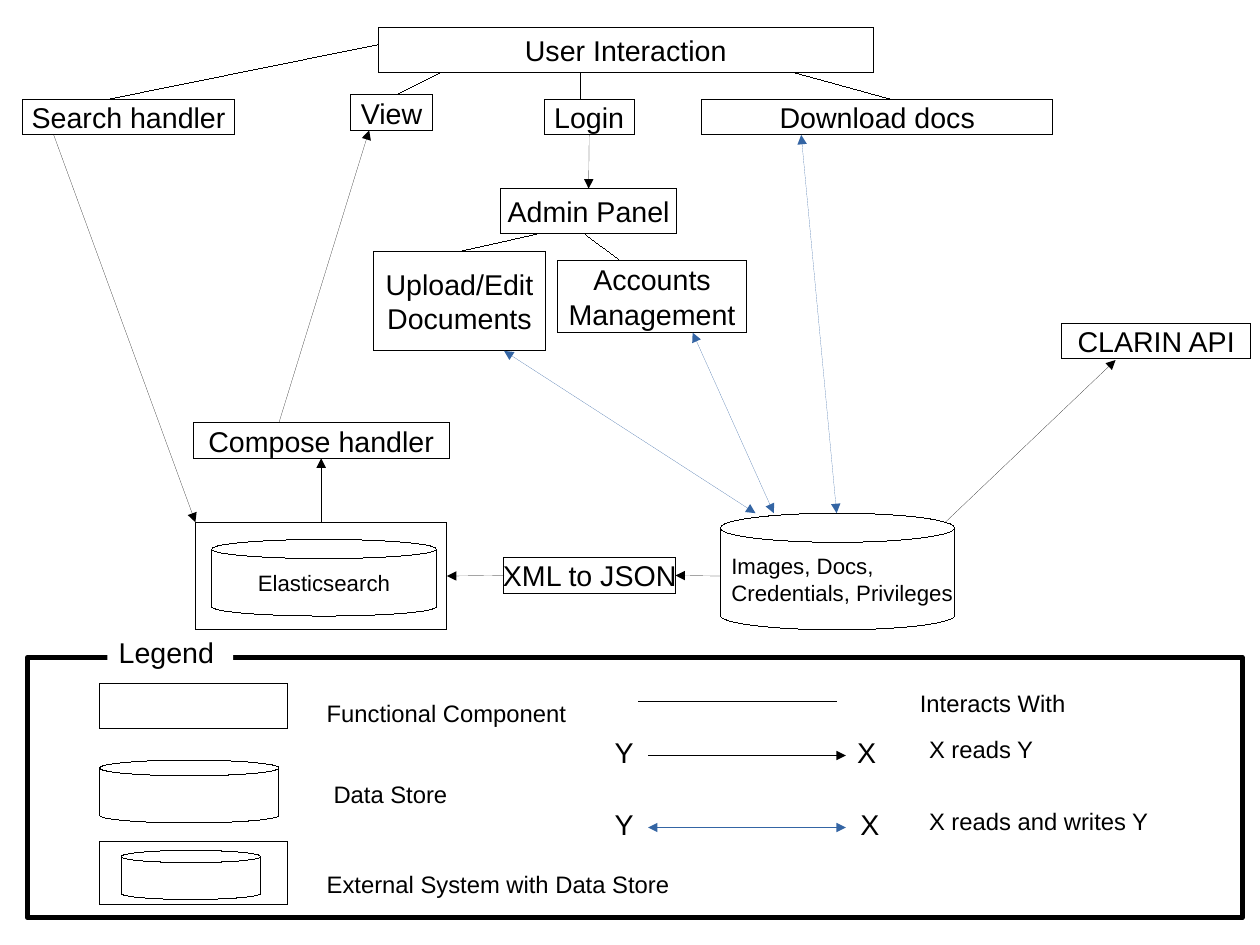
import pptx
import pptx.dml.color
import pptx.enum.shapes
import pptx.enum.text
import pptx.oxml
import pptx.oxml.ns
import pptx.shapes.autoshape
import pptx.util

BLACK = pptx.dml.color.RGBColor(0x00, 0x00, 0x00)
WHITE = pptx.dml.color.RGBColor(0xFF, 0xFF, 0xFF)
BLUE = pptx.dml.color.RGBColor(0x34, 0x65, 0xA4)

RECTANGLE = pptx.enum.shapes.MSO_SHAPE.RECTANGLE
CAN = pptx.enum.shapes.MSO_SHAPE.CAN
LEFT = pptx.enum.text.PP_ALIGN.LEFT
CENTER = pptx.enum.text.PP_ALIGN.CENTER
MIDDLE = pptx.enum.text.MSO_ANCHOR.MIDDLE
TOP = pptx.enum.text.MSO_ANCHOR.TOP

INTERACTS = {"color": BLACK}
READS = {"color": BLACK, "ends": ("tailEnd",)}
READS_AND_WRITES = {"color": BLUE, "ends": ("headEnd", "tailEnd")}


def write_text(shape, text, size=18, align=CENTER, anchor=MIDDLE, wrap=False):
    frame = shape.text_frame
    frame.word_wrap = wrap
    frame.vertical_anchor = anchor
    frame.text = text
    for paragraph in frame.paragraphs:
        paragraph.alignment = align
        paragraph.font.name = "Arial"
        paragraph.font.size = pptx.util.Pt(size)
        paragraph.font.color.rgb = BLACK


def draw_line(shape, color, width=0):
    shape.line.color.rgb = color
    line = shape._element.spPr.get_or_add_ln()
    line.set("w", str(pptx.util.Pt(width)))
    return line


def is_joint(place):
    return isinstance(place[0], pptx.shapes.autoshape.Shape)


class Region:
    def __init__(self, slide, left, top):
        self.shapes = slide.shapes
        self.left = left
        self.top = top

    def point(self, x, y):
        return pptx.util.Inches(self.left + x), pptx.util.Inches(self.top + y)

    def place(self, x, y, width, height):
        return *self.point(x, y), pptx.util.Inches(width), pptx.util.Inches(height)

    def node(self, box, text="", kind=RECTANGLE, fill=None, line_width=0, **text_format):
        shape = self.shapes.add_shape(kind, *self.place(*box))
        shape.shadow.inherit = False
        if kind == CAN:
            fill = WHITE
        if fill is None:
            shape.fill.background()
        else:
            shape.fill.solid()
            shape.fill.fore_color.rgb = fill
        if line_width is None:
            shape.line.fill.background()
        else:
            draw_line(shape, BLACK, line_width)
        if text:
            write_text(shape, text, **text_format)
        return shape

    def label(self, x, y, width, text, size=15):
        shape = self.shapes.add_textbox(*self.place(x, y, width, 0.39))
        write_text(shape, text, size=size, align=LEFT, anchor=TOP, wrap=True)

    def link(self, start, end, color, ends=()):
        points = [(0, 0) if is_joint(place) else self.point(*place) for place in (start, end)]
        connector = self.shapes.add_connector(
            pptx.enum.shapes.MSO_CONNECTOR.STRAIGHT, *points[0], *points[1]
        )
        for place, connect in ((start, connector.begin_connect), (end, connector.end_connect)):
            if is_joint(place):
                connect(*place)
        line = draw_line(connector, color)
        namespace = pptx.oxml.ns.nsdecls("a")
        for end_name in ends:
            line.append(pptx.oxml.parse_xml(f'<a:{end_name} {namespace} type="triangle"/>'))
        connector._element.spPr.append(pptx.oxml.parse_xml(f"<a:effectLst {namespace}/>"))


def draw_architecture(slide, left, top):
    region = Region(slide, left, top)
    region.node((3.11, 0, 4.33, 0.39), "User Interaction")
    region.node((0, 0.63, 1.85, 0.31), "Search handler")
    region.node((2.87, 0.59, 0.71, 0.31), "View")
    region.node((5.94, 0.63, 3.07, 0.31), "Download docs")
    region.node((4.68, 2.04, 1.65, 0.63), "Accounts\nManagement")
    region.node((9.09, 2.59, 1.65, 0.31), "CLARIN API")
    login = region.node((4.56, 0.63, 0.79, 0.31), "Login")
    admin = region.node((4.18, 1.41, 1.54, 0.39), "Admin Panel")
    upload = region.node((3.07, 1.96, 1.5, 0.87), "Upload/Edit\nDocuments")
    compose = region.node((1.49, 3.46, 2.24, 0.31), "Compose handler")
    converter = region.node((4.21, 4.64, 1.5, 0.31), "XML to JSON")
    region.node((1.65, 4.48, 1.97, 0.67), "Elasticsearch", CAN, size=14)
    search_engine = region.node((1.51, 4.33, 2.2, 0.94))
    region.node(
        (6.1, 4.25, 2.05, 1.02), "Images, Docs,\nCredentials, Privileges", CAN, size=14, align=LEFT
    )

    links = [
        (INTERACTS, (3.11, 0.15), (0.74, 0.63)),
        (INTERACTS, (3.66, 0.39), (3.26, 0.59)),
        (INTERACTS, (4.88, 0.39), (4.88, 0.63)),
        (INTERACTS, (6.73, 0.39), (7.6, 0.63)),
        (INTERACTS, (4.49, 1.81), (upload, 0)),
        (INTERACTS, (4.92, 1.81), (5.23, 2.04)),
        (READS, (login, 2), (admin, 0)),
        (READS, (0.27, 0.94), (1.51, 4.33)),
        (READS, (2.24, 3.46), (3.03, 0.9)),
        (READS, (search_engine, 0), (compose, 2)),
        (READS, (converter, 1), (search_engine, 3)),
        (READS, (6.1, 4.8), (converter, 3)),
        (READS, (8.07, 4.33), (9.56, 2.91)),
        (READS_AND_WRITES, (6.41, 4.25), (4.21, 2.83)),
        (READS_AND_WRITES, (6.57, 4.25), (5.86, 2.67)),
        (READS_AND_WRITES, (7.12, 4.25), (6.81, 0.94)),
    ]
    for style, start, end in links:
        region.link(start, end, **style)


def draw_legend(slide, left, top, width, height):
    region = Region(slide, left, top)
    region.node((0.63, 0.23, 1.65, 0.39))
    region.node((0.63, 0.9, 1.57, 0.55), kind=CAN)
    region.node((0.63, 1.61, 1.65, 0.55))
    region.node((0.82, 1.69, 1.22, 0.43), kind=CAN)
    region.label(2.52, 0.31, 2.6, "Functional Component")
    region.label(2.58, 1.02, 1.34, "Data Store")
    region.label(2.52, 1.81, 3.31, "External System with Data Store")

    region.link((5.35, 0.39), (7.08, 0.39), **INTERACTS)
    region.label(7.71, 0.23, 2.6, "Interacts With")
    arrow_rows = [
        (0.63, 7.16, "X reads Y", READS),
        (1.26, 7.19, "X reads and writes Y", READS_AND_WRITES),
    ]
    for y, target_x, meaning, style in arrow_rows:
        region.label(5.04, y, 0.36, "Y", size=18)
        region.link((5.43, y + 0.23), (7.16, y + 0.23), **style)
        region.label(target_x, y, 0.36, "X", size=18)
        region.label(7.79, y, 2.2, meaning)

    region.node((0, 0, width, height), line_width=3)
    region.node(
        (0.7, -0.24, 1.1, 0.38), "Legend", fill=WHITE, line_width=None,
        align=LEFT, anchor=TOP, wrap=True,
    )


def main():
    presentation = pptx.Presentation()
    presentation.slide_width = pptx.util.Inches(28 / 2.54)
    presentation.slide_height = pptx.util.Inches(21 / 2.54)
    slide = presentation.slides.add_slide(presentation.slide_layouts[6])
    draw_legend(slide, 0.24, 5.75, 10.63, 2.28)
    draw_architecture(slide, 0.2, 0.24)
    presentation.save("out.pptx")


if __name__ == "__main__":
    main()
